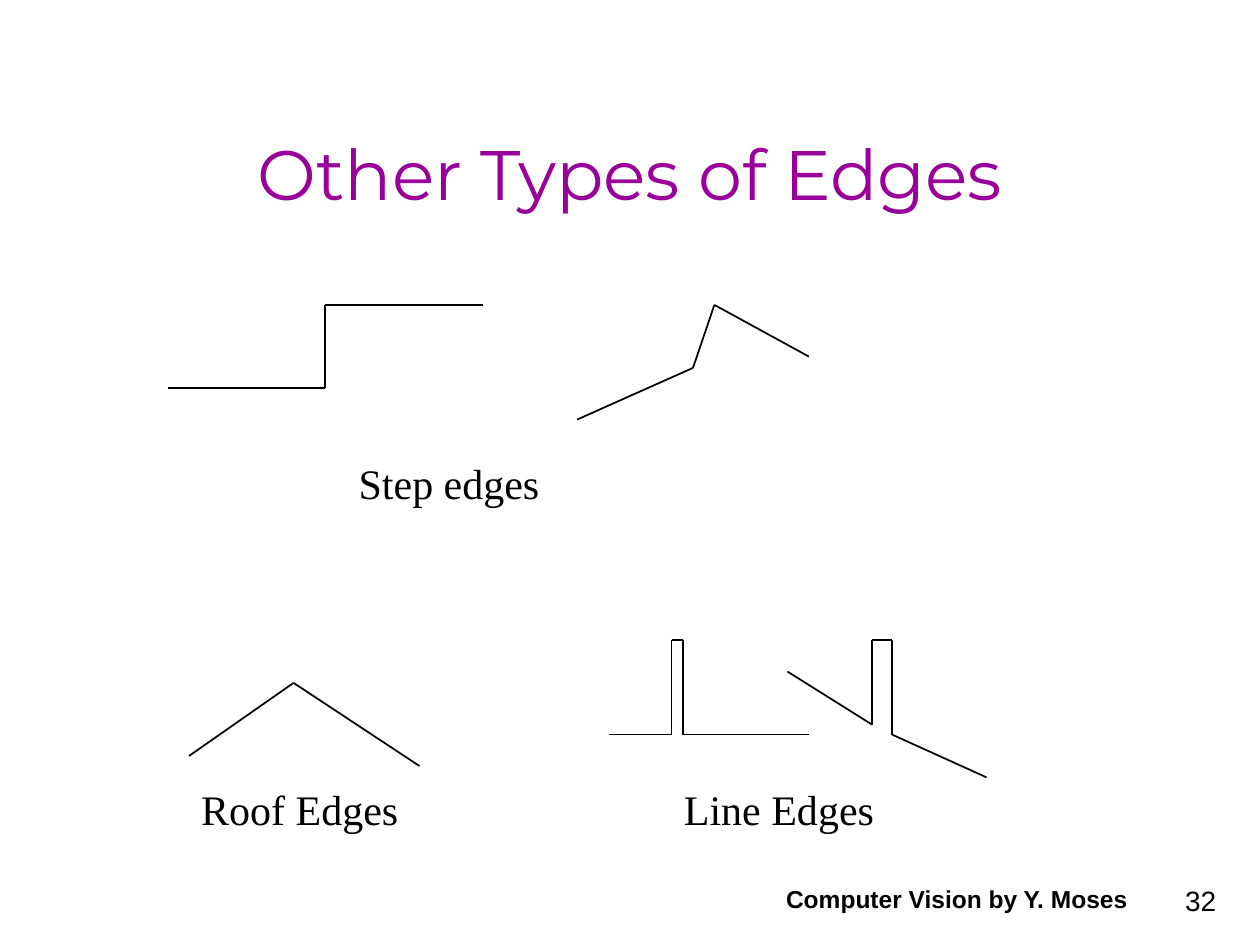
from itertools import pairwise

from lxml import etree
from pptx import Presentation
from pptx.dml.color import RGBColor
from pptx.enum.shapes import MSO_CONNECTOR
from pptx.enum.text import MSO_ANCHOR, PP_ALIGN
from pptx.oxml.ns import qn
from pptx.util import Inches, Pt

BLACK = RGBColor(0x00, 0x00, 0x00)
PURPLE = RGBColor(0x99, 0x00, 0x99)
STRAIGHT = MSO_CONNECTOR.STRAIGHT
LEFT, CENTER, RIGHT = PP_ALIGN.LEFT, PP_ALIGN.CENTER, PP_ALIGN.RIGHT
TOP, BOTTOM = MSO_ANCHOR.TOP, MSO_ANCHOR.BOTTOM

STEP_PROFILES = [
    [(1.33, 3.08), (2.58, 3.08), (2.58, 2.42), (3.83, 2.42)],
    [(4.58, 3.33), (5.5, 2.92), (5.67, 2.42), (6.42, 2.83)],
]
ROOF_AND_LINE_PROFILES = [
    [(1.5, 6), (2.33, 5.42), (3.33, 6.08)],
    [(4.83, 5.83), (5.33, 5.83), (5.33, 5.08), (5.42, 5.08),
     (5.42, 5.83), (6.42, 5.83)],
    [(6.25, 5.33), (6.92, 5.75), (6.92, 5.08), (7.08, 5.08),
     (7.08, 5.83), (7.83, 6.17)],
]


class EdgeSlide:
    """Draws the titles, labels and edge profiles of one slide."""

    label_font = "Times New Roman"
    footer_font = "Arial"
    title_font = "Montserrat"

    def __init__(self, prs):
        self.s = prs.slides.add_slide(prs.slide_layouts[5])

    def fill_text(self, sp, text, font, size, color, align, anchor, bold=False):
        tf = sp.text_frame
        tf.word_wrap = True
        tf.vertical_anchor = anchor
        p = tf.paragraphs[0]
        p.alignment = align
        r = p.add_run()
        r.text = text
        r.font.name = font
        r.font.size = Pt(size)
        r.font.bold = bold
        r.font.color.rgb = color

    def title(self, text, left, top, width, height):
        sp = self.s.shapes.title
        sp.left, sp.top = Inches(left), Inches(top)
        sp.width, sp.height = Inches(width), Inches(height)
        self.fill_text(sp, text, self.title_font, 40, PURPLE, CENTER, BOTTOM)

    def footer(self, text, left, top, width, size, align, bold=False):
        sp = self.s.shapes.add_textbox(
            Inches(left), Inches(top), Inches(width), Inches(0.5))
        self.fill_text(sp, text, self.footer_font, size, BLACK, align, BOTTOM, bold)

    def group(self):
        return self.s.shapes.add_group_shape()

    def label(self, group, text, left, top, width, align):
        sp = group.shapes.add_textbox(
            Inches(left), Inches(top), Inches(width), Inches(0.5))
        self.fill_text(sp, text, self.label_font, 24, BLACK, align, TOP)

    def profile(self, group, points):
        for (x1, y1), (x2, y2) in pairwise(points):
            line = group.shapes.add_connector(
                STRAIGHT, Inches(x1), Inches(y1), Inches(x2), Inches(y2))
            line.line.color.rgb = BLACK
            line.line.width = Pt(1)
            etree.SubElement(line._element.spPr, qn("a:effectLst"))


def main():
    prs = Presentation()
    prs.slide_width, prs.slide_height = Inches(10), Inches(7.5)
    slide = EdgeSlide(prs)

    slide.footer("32", 7.67, 6.83, 2.08, 16, RIGHT)
    slide.footer("Computer Vision by Y. Moses", 6.01, 6.8, 3.17, 14, CENTER, bold=True)
    slide.title("Other Types of Edges", 0.75, 0.5, 8.5, 1.25)

    steps = slide.group()
    for points in STEP_PROFILES:
        slide.profile(steps, points)
    slide.label(steps, "Step edges", 2.58, 3.58, 1.8, RIGHT)

    others = slide.group()
    for points in ROOF_AND_LINE_PROFILES:
        slide.profile(others, points)
    slide.label(others, "Roof Edges", 1.33, 6.17, 1.93, RIGHT)
    slide.label(others, "Line Edges", 5.33, 6.17, 1.88, LEFT)

    prs.save("out.pptx")


if __name__ == "__main__":
    main()
